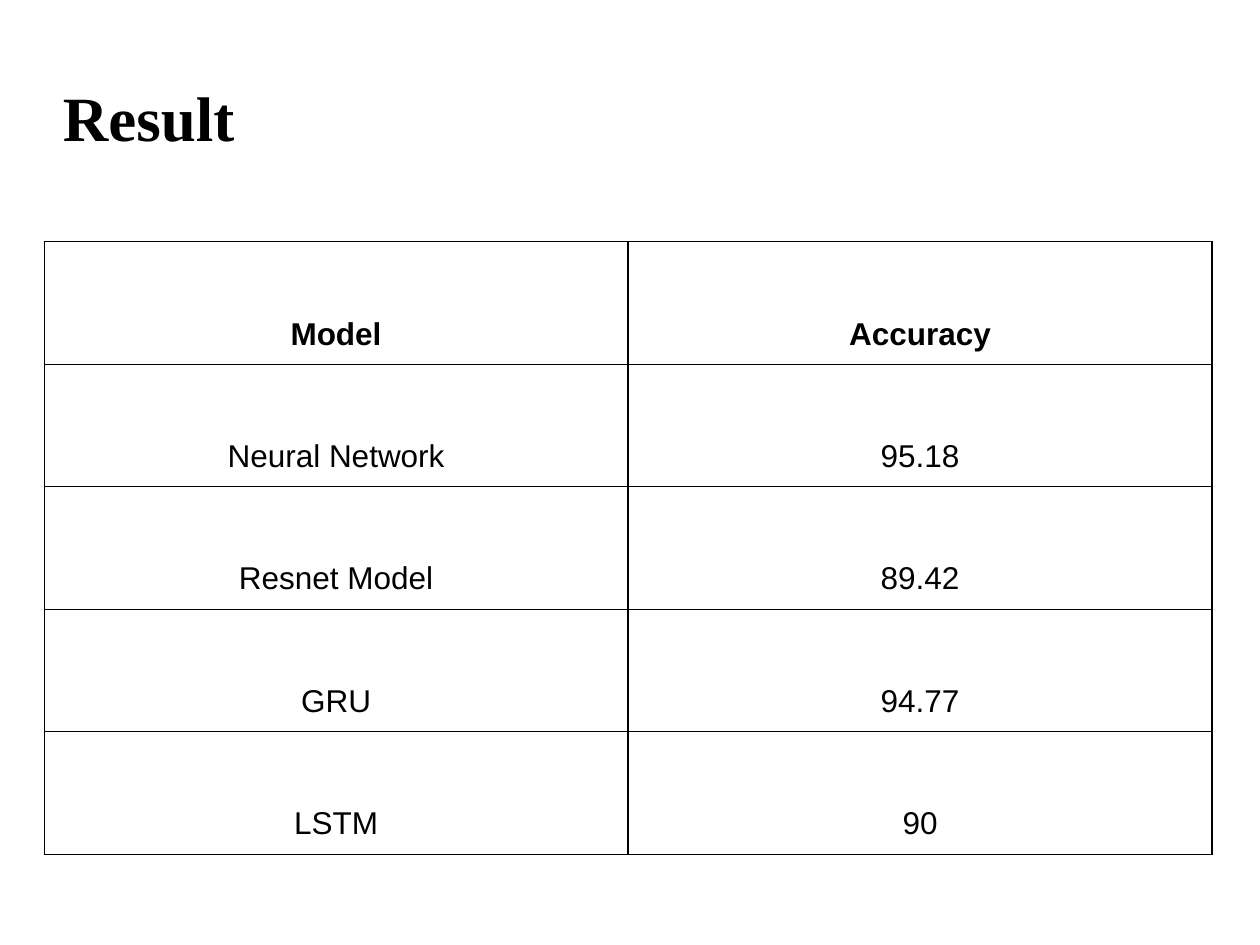
"""Build the model accuracy results slide."""
import dataclasses

import lxml.etree
import pptx
import pptx.dml.color
import pptx.enum.text
import pptx.oxml.ns
import pptx.util

Inches = pptx.util.Inches


@dataclasses.dataclass(frozen=True)
class Theme:
    """Hold the colours, fonts and sizes of the slide."""

    ink: str = "000000"
    paper: str = "FFFFFF"
    title_font: str = "Times New Roman"
    body_font: str = "Arial"
    title_size: int = 36
    body_size: int = 18
    border_width: float = 0.75
    line_spacing: float = 1.15


class ResultSlide:
    """Draw styled elements on one slide."""

    def __init__(self, slide, theme):
        """Keep the slide and theme and paint the background."""
        self.slide = slide
        self.theme = theme
        fill = slide.background.fill
        fill.solid()
        fill.fore_color.rgb = pptx.dml.color.RGBColor.from_string(theme.paper)

    def style_text(self, para, font, size, bold):
        """Format every run of a paragraph."""
        for span in para.runs:
            span.font.name = font
            span.font.size = pptx.util.Pt(size)
            span.font.bold = bold
            span.font.color.rgb = pptx.dml.color.RGBColor.from_string(self.theme.ink)

    def add_title(self, text, left, top, width, height):
        """Add the slide heading."""
        box = self.slide.shapes.add_textbox(
            Inches(left), Inches(top), Inches(width), Inches(height))
        frame = box.text_frame
        frame.word_wrap = True
        frame.vertical_anchor = pptx.enum.text.MSO_ANCHOR.MIDDLE
        frame.margin_left = frame.margin_right = Inches(0)
        frame.margin_top = frame.margin_bottom = Inches(0)
        frame.text = text
        self.style_text(
            frame.paragraphs[0], self.theme.title_font, self.theme.title_size, True)

    def add_borders(self, cell):
        """Draw a solid line on all four sides of a cell."""
        qn = pptx.oxml.ns.qn
        properties = cell._tc.get_or_add_tcPr()
        for side in ("a:lnL", "a:lnR", "a:lnT", "a:lnB"):
            line = lxml.etree.SubElement(
                properties, qn(side), w=str(pptx.util.Pt(self.theme.border_width)))
            solid = lxml.etree.SubElement(line, qn("a:solidFill"))
            lxml.etree.SubElement(solid, qn("a:srgbClr"), val=self.theme.ink)

    def fill_cell(self, cell, text, bold):
        """Write and style one table cell."""
        self.add_borders(cell)
        cell.fill.background()
        cell.vertical_anchor = pptx.enum.text.MSO_ANCHOR.BOTTOM
        cell.margin_left = cell.margin_right = Inches(0.03)
        cell.margin_top = cell.margin_bottom = Inches(0.1)
        cell.text_frame.text = text
        para = cell.text_frame.paragraphs[0]
        para.alignment = pptx.enum.text.PP_ALIGN.CENTER
        para.line_spacing = self.theme.line_spacing
        self.style_text(para, self.theme.body_font, self.theme.body_size, bold)

    def add_table(self, rows, left, top, width, height):
        """Add a bordered table with a bold first row."""
        table = self.slide.shapes.add_table(
            len(rows), len(rows[0]),
            Inches(left), Inches(top), Inches(width), Inches(height)).table
        table.horz_banding = False
        table.first_row = False
        for row_index, row in enumerate(rows):
            for column_index, text in enumerate(row):
                self.fill_cell(
                    table.cell(row_index, column_index), text, row_index == 0)


def main():
    """Create and save the deck."""
    deck = pptx.Presentation()
    deck.slide_width = Inches(10)
    deck.slide_height = Inches(7.5)
    page = ResultSlide(deck.slides.add_slide(deck.slide_layouts[6]), Theme())
    page.add_title("Result", 0.5, 0.3, 9, 1.25)
    results = [
        ("Model", "Accuracy"),
        ("Neural Network", "95.18"),
        ("Resnet Model", "89.42"),
        ("GRU", "94.77"),
        ("LSTM", "90"),
    ]
    page.add_table(results, 0.35, 1.92, 9.27, 4.86)
    deck.save("out.pptx")


if __name__ == "__main__":
    main()
